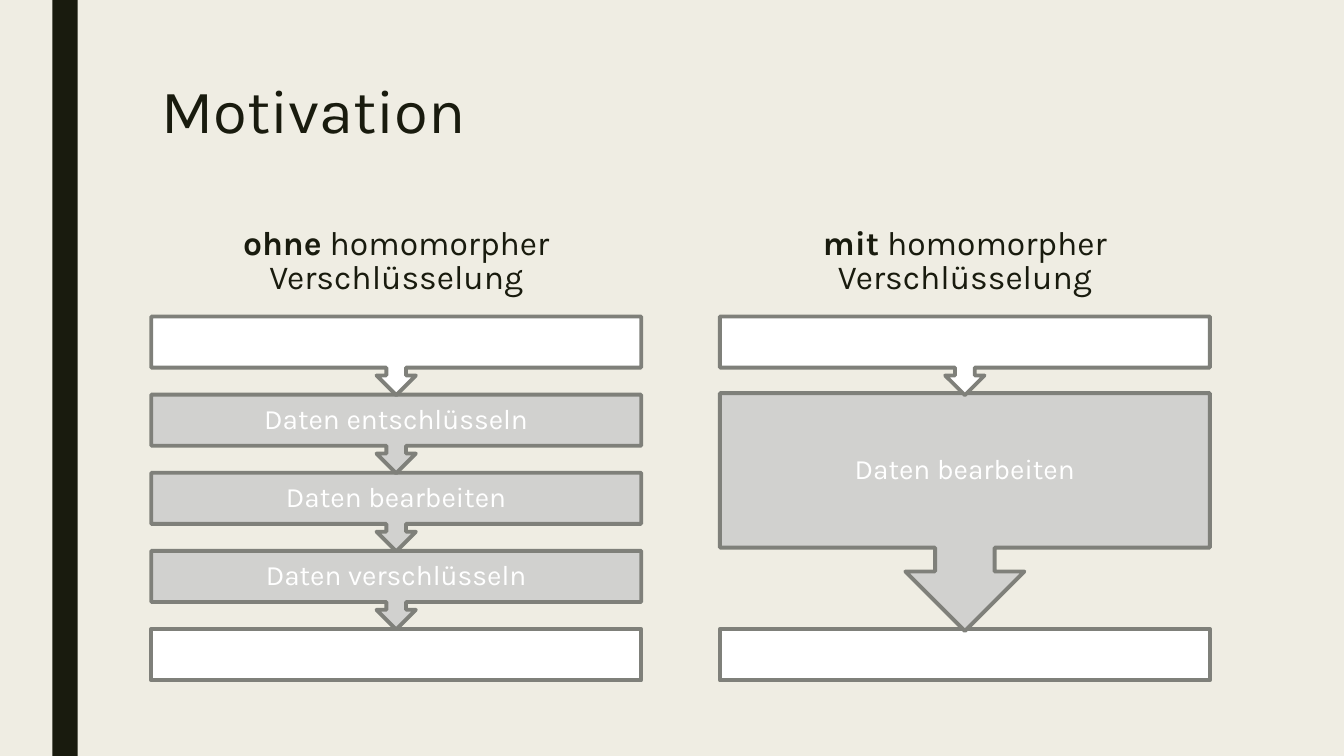
import pptx
import pptx.util
import pptx.dml.color
import pptx.enum.shapes
import pptx.enum.text

Inches, Pt = pptx.util.Inches, pptx.util.Pt
SHAPE = pptx.enum.shapes.MSO_SHAPE
ALIGN = pptx.enum.text.PP_ALIGN
ANCHOR = pptx.enum.text.MSO_ANCHOR

FONT = "Karla"
INK, PAPER, WHITE, GREY, EDGE = "191B0E", "EFEDE3", "FFFFFF", "D1D1CF", "7F807A"

TITLE = "Motivation"
TOP, BOTTOM, COL_W, BOX_H = 3.14, 6.24, 4.86, 0.51
STEP = (BOTTOM - TOP) / 4
# Each step: text, fill, top, height
COLUMNS = [
    {"left": 1.5, "heading": ("ohne", " homomorpher Verschlüsselung"), "body": 1,
     "steps": [("", WHITE, TOP, 0.78)] + [
         (text, GREY, TOP + STEP * i, 0.78) for i, text in enumerate(
             ["Daten entschlüsseln", "Daten bearbeiten", "Daten verschlüsseln"], 1)]},
    {"left": 7.14, "heading": ("mit", " homomorpher Verschlüsselung"), "body": 3,
     "steps": [("", WHITE, TOP, 0.78), ("Daten bearbeiten", GREY, 3.9, 2.36)]},
]


def rgb(color):
    return pptx.dml.color.RGBColor.from_string(color)


def place(sp, *box):
    for name, value in zip(("left", "top", "width", "height"), box):
        setattr(sp, name, Inches(value))


def write(sp, runs, size, color, anchor, align, spacing, inset=(0.1, 0.05)):
    """Fill a shape with one paragraph of (text, bold) runs."""
    tf = sp.text_frame
    side, edge = (Inches(v) for v in inset)
    frame = {"word_wrap": True, "vertical_anchor": anchor,
             "auto_size": pptx.enum.text.MSO_AUTO_SIZE.NONE,
             "margin_left": side, "margin_right": side,
             "margin_top": edge, "margin_bottom": edge}
    for name, value in frame.items():
        setattr(tf, name, value)
    p = tf.paragraphs[0]
    para = {"alignment": align, "line_spacing": spacing, "space_before": Pt(0)}
    for name, value in para.items():
        setattr(p, name, value)
    for text, bold in runs:
        r = p.add_run()
        r.text = text
        for name, value in {"name": FONT, "size": Pt(size), "bold": bold}.items():
            setattr(r.font, name, value)
        r.font.color.rgb = rgb(color)


def add_box(slide, kind, box, fill, edge=None):
    sp = slide.shapes.add_shape(kind, *(Inches(v) for v in box))
    sp.shadow.inherit = False
    sp.fill.solid()
    sp.fill.fore_color.rgb = rgb(fill)
    if edge:
        sp.line.color.rgb = rgb(edge)
        sp.line.width = Pt(2.75)
    else:
        sp.line.fill.background()
    return sp


def add_column(slide, left, heading, body, steps):
    sp = slide.placeholders[body]
    place(sp, left, 2.09, COL_W, 0.9)
    write(sp, zip(heading, (True, False)), 24, INK, ANCHOR.BOTTOM, ALIGN.CENTER, 0.84)
    add_box(slide, SHAPE.RECTANGLE, (left, BOTTOM, COL_W, BOX_H), WHITE, EDGE)
    # Lower steps first, so that each arrow tip overlaps the box below it
    for text, fill, top, height in reversed(steps):
        sp = add_box(slide, SHAPE.DOWN_ARROW_CALLOUT, (left, top, COL_W, height), fill, EDGE)
        if text:
            write(sp, [(text, False)], 20, WHITE, ANCHOR.MIDDLE, ALIGN.CENTER, 0.9, (0.16, 0))


def main():
    prs = pptx.Presentation()
    prs.slide_width, prs.slide_height = Inches(13.33), Inches(7.5)
    slide = prs.slides.add_slide(prs.slide_layouts.get_by_name("Comparison"))
    slide.background.fill.solid()
    slide.background.fill.fore_color.rgb = rgb(PAPER)

    add_box(slide, SHAPE.RECTANGLE, (0.52, 0, 0.25, 7.5), INK)
    place(slide.shapes.title, 1.5, 0.75, 10.5, 1.62)
    write(slide.shapes.title, [(TITLE, False)], 44, INK, ANCHOR.TOP, ALIGN.LEFT, 0.89)
    for column in COLUMNS:
        add_column(slide, **column)
    for sp in list(slide.placeholders):
        if not sp.text_frame.text:
            sp.element.getparent().remove(sp.element)
    prs.save("out.pptx")


if __name__ == "__main__":
    main()
